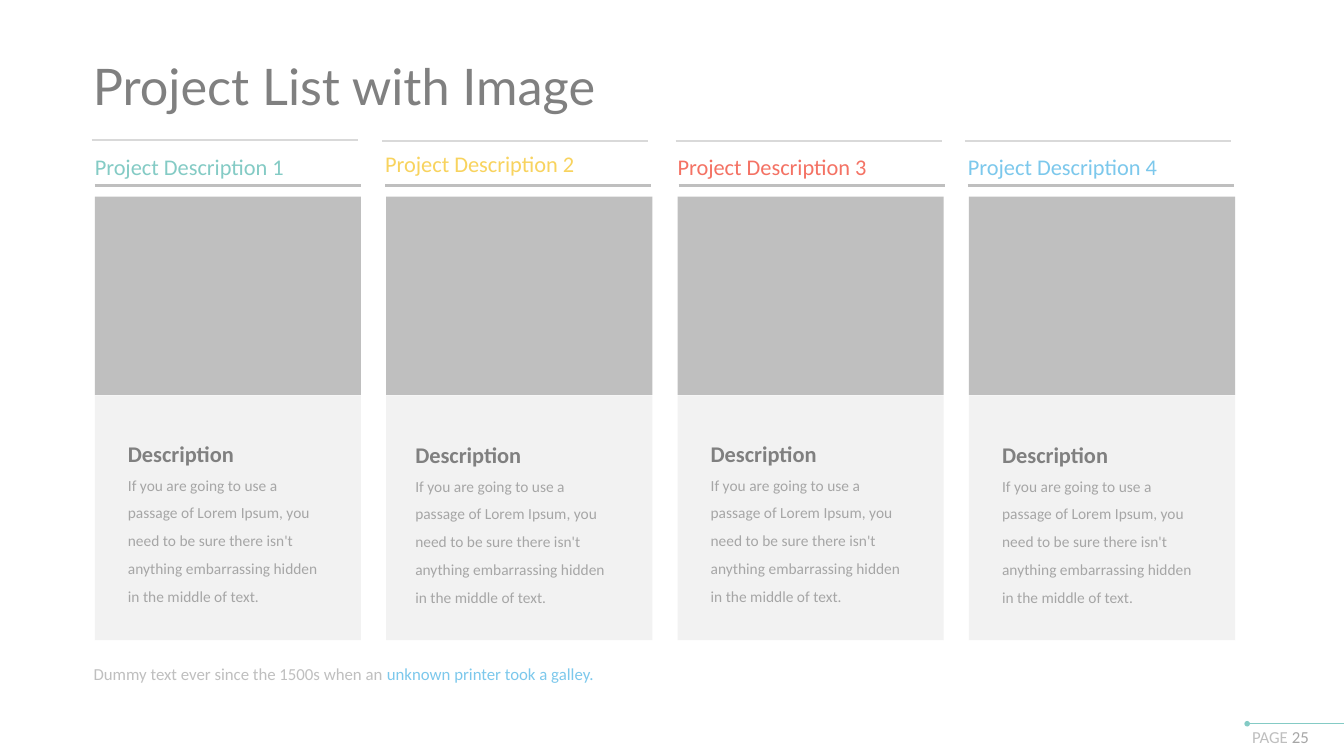
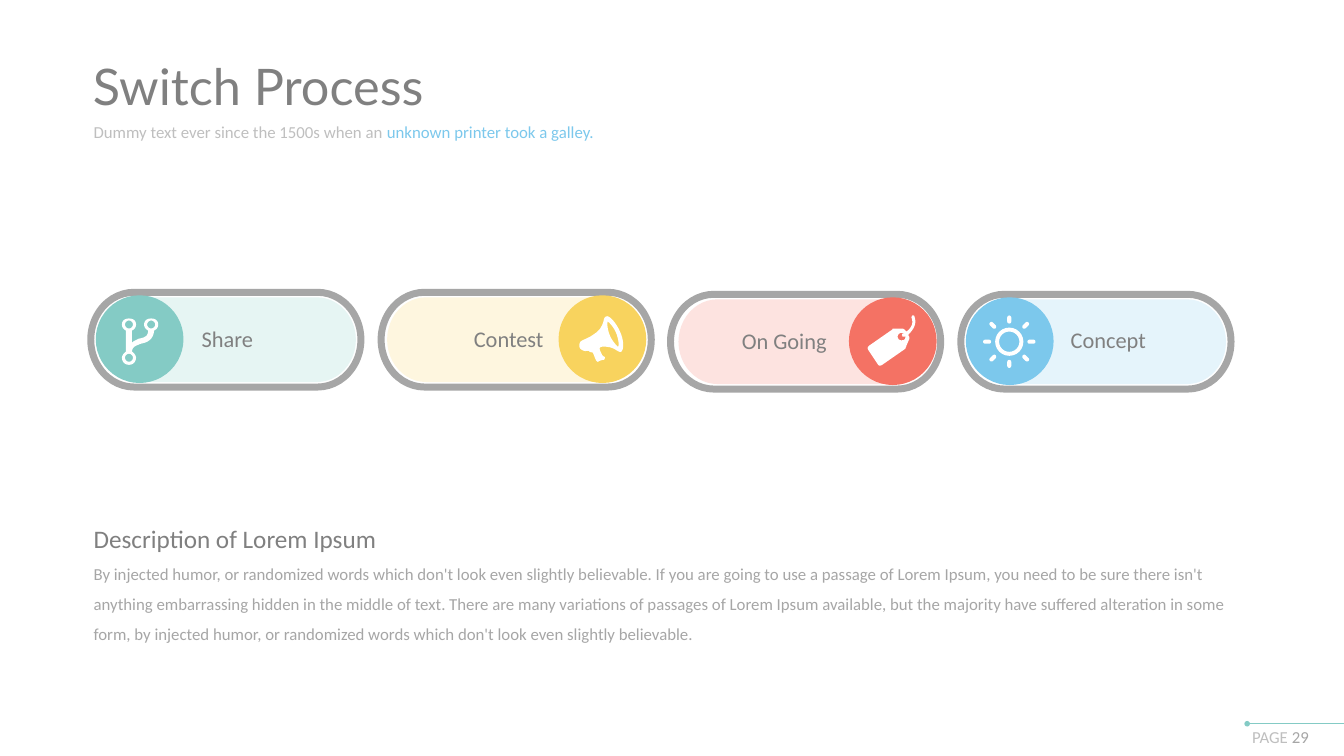
import math

import pptx
import pptx.dml.color
import pptx.enum.shapes
import pptx.enum.text
import pptx.oxml
import pptx.oxml.ns
import pptx.shapes.connector
import pptx.util

PX = 9144  # EMU in one px, 100 px to the inch
TEAL, YELLOW, RED, BLUE = "84CBC5", "F8D35E", "F47264", "7CC8EC"
DARK, MID, SILVER, PALE, WHITE = "808080", "A6A6A6", "BFBFBF", "F2F2F2", "FFFFFF"
RULE = "D9D9D9"
SHAPE = pptx.enum.shapes.MSO_SHAPE
STRAIGHT = pptx.enum.shapes.MSO_CONNECTOR.STRAIGHT
ALIGN = pptx.enum.text.PP_ALIGN
ANCHOR = pptx.enum.text.MSO_ANCHOR
AUTO_SIZE = pptx.enum.text.MSO_AUTO_SIZE
rgb = pptx.dml.color.RGBColor.from_string


def paint(shape, fill=None, line=None, width=1):
    """Set fill and line of a shape or connector, without shadow."""
    if line:
        shape.line.color.rgb = rgb(line)
        shape.line.width = pptx.util.Pt(width)
    else:
        shape.line.fill.background()
    if isinstance(shape, pptx.shapes.connector.Connector):
        shape.element.spPr.append(pptx.oxml.parse_xml(
            f"<a:effectLst {pptx.oxml.ns.nsdecls('a')}/>"))
        return
    shape.shadow.inherit = False
    if fill:
        shape.fill.solid()
        shape.fill.fore_color.rgb = rgb(fill)
    else:
        shape.fill.background()


def write(shape, paragraphs, spacing=1.0, align=ALIGN.LEFT,
          anchor=ANCHOR.TOP, insets=(10, 5, 10, 5)):
    """Fill a shape with text; each paragraph is a list of (text, size, colour, bold)."""
    tf = shape.text_frame
    tf.word_wrap = True
    tf.vertical_anchor = anchor
    tf.margin_left, tf.margin_top, tf.margin_right, tf.margin_bottom = (
        v * PX for v in insets)
    for i, runs in enumerate(paragraphs):
        p = tf.add_paragraph() if i else tf.paragraphs[0]
        p.alignment = align
        p.line_spacing = spacing
        for text, size, colour, bold in runs:
            r = p.add_run()
            r.text = text
            r.font.name = "Calibri"
            r.font.size = pptx.util.Pt(size)
            r.font.bold = bold
            r.font.color.rgb = rgb(colour)


prs = pptx.Presentation()
prs.slide_width, prs.slide_height = 1333 * PX, 750 * PX

# Shared layout: title position and footer line
layout = prs.slide_layouts[5]
title = layout.placeholders[0]
title.left, title.top, title.width, title.height = (v * PX for v in (82, 50, 695, 66))
title.text_frame.vertical_anchor = ANCHOR.TOP
title.text_frame.auto_size = AUTO_SIZE.NONE

pages = [("Project List with Image", "25", 654), ("Switch Process", "29", 116)]
slides = []
for heading, number, caption_top in pages:
    s = prs.slides.add_slide(layout)
    slides.append(s)
    p = s.shapes.title.text_frame.paragraphs[0]
    p.alignment = ALIGN.LEFT
    r = p.add_run()
    r.text = heading
    r.font.name = "Lato"
    r.font.size = pptx.util.Pt(36)
    r.font.color.rgb = rgb(DARK)
    write(s.shapes.add_textbox(1232 * PX, 716 * PX, 101 * PX, 30 * PX),
          [[("PAGE ", 12, SILVER, False), (number, 12, MID, False)]])
    write(s.shapes.add_textbox(83 * PX, caption_top * PX, 582 * PX, 48 * PX),
          [[("Dummy text ever since the 1500s when an ", 12, SILVER, False),
            ("unknown printer took a galley.", 12, BLUE, False)]])

footer = slides[0].shapes.add_connector(
    STRAIGHT, 1237 * PX, 718 * PX, 1335 * PX, 718 * PX)
paint(footer, line=TEAL)
footer.element.spPr.find(pptx.oxml.ns.qn("a:ln")).append(pptx.oxml.parse_xml(
    f'<a:headEnd {pptx.oxml.ns.nsdecls("a")} type="oval" w="sm" len="sm"/>'))
layout.shapes.element.append(footer.element)

# Project list
s = slides[0]
blurb = ("If you are going to use a passage of Lorem Ipsum, you need to be sure there "
         "isn't anything embarrassing hidden in the middle of text.")
# colour, rule left and top, heading left and top, text left and top
projects = [
    (TEAL, 91, 139, 94, 144, 117, 418),
    (YELLOW, 379, 140, 382, 141, 402, 419),
    (RED, 670, 140, 672, 144, 695, 418),
    (BLUE, 957, 140, 960, 144, 984, 419),
]
for i, (colour, rule_x, rule_y, head_x, head_y, text_x, text_y) in enumerate(projects):
    x = 94 + 289 * i
    for top, height, fill in ((195, 197, SILVER), (393, 242, PALE)):
        paint(s.shapes.add_shape(SHAPE.RECTANGLE, x * PX, top * PX,
                                 264 * PX, height * PX), fill)
    for left, y, rule_colour, width in ((rule_x, rule_y, RULE, 1),
                                        (rule_x + 3, 184, SILVER, 1.75)):
        paint(s.shapes.add_connector(STRAIGHT, left * PX, y * PX,
                                     (left + 264) * PX, y * PX),
              line=rule_colour, width=width)
    write(s.shapes.add_textbox(head_x * PX, head_y * PX, 261 * PX, 29 * PX),
          [[(f"Project Description {i + 1}", 16, colour, False)]],
          spacing=1.5, anchor=ANCHOR.MIDDLE, insets=(0, 0, 0, 0))
    write(s.shapes.add_textbox(text_x * PX, text_y * PX, 218 * PX, 189 * PX),
          [[("Description", 16, DARK, True)], [(blurb, 11, MID, False)]],
          spacing=1.5)

# Switches: label, colour, tint, frame left and top, then offsets from the frame
# to the tinted pill, the knob and the label (across and down), and the alignment
s = slides[1]
switches = [
    ("Share", TEAL, "E6F5F3", 90, 290, 23, 5, 105, 27, ALIGN.LEFT),
    ("Contest", YELLOW, "FEF6DF", 378, 290, 6, 176, 54, 27, ALIGN.RIGHT),
    ("On Going", RED, "FDE3E0", 665, 292, 8, 177, 48, 27, ALIGN.RIGHT),
    ("Concept", BLUE, "E5F4FB", 953, 292, 23, 5, 104, 26, ALIGN.LEFT),
]
for label, colour, tint, x, y, pill_dx, knob_dx, label_dx, label_dy, align in switches:
    switch = s.shapes.add_group_shape()
    for kind, left, top, width, height, fill, line in (
            (SHAPE.FLOWCHART_TERMINATOR, x + pill_dx, y + 5, 240, 84, tint, None),
            (SHAPE.FLOWCHART_TERMINATOR, x, y, 268, 94, None, MID),
            (SHAPE.OVAL, x + knob_dx, y + 3, 87, 87, colour, None)):
        paint(switch.shapes.add_shape(kind, left * PX, top * PX,
                                      width * PX, height * PX), fill, line, 5)
    left, top = (x + label_dx) * PX, (y + label_dy) * PX
    right, bottom = left + 107 * PX, top + 42 * PX
    builder = s.shapes.build_freeform(left, top)
    builder.add_line_segments([(right, top), (right, bottom), (left, bottom)])
    plate = builder.convert_to_shape()
    paint(plate)
    write(plate, [[(label, 16, DARK, False)]], spacing=0.9, align=align,
          anchor=ANCHOR.MIDDLE, insets=(5, 0, 0, 0))

# Sun icon: a ring and eight rays
sun = s.shapes.add_group_shape()
ring = sun.shapes.add_shape(SHAPE.DONUT, 987 * PX, 325 * PX, 28 * PX, 28 * PX)
ring.adjustments[0] = 0.14
paint(ring, WHITE)
for angle in range(0, 360, 45):
    reach = 23 if angle % 90 else 22
    ray_x = 1001 + reach * math.sin(math.radians(angle))
    ray_y = 339 - reach * math.cos(math.radians(angle))
    ray = sun.shapes.add_shape(SHAPE.ROUNDED_RECTANGLE, round((ray_x - 2) * PX),
                               round((ray_y - 4) * PX), 4 * PX, 8 * PX)
    ray.adjustments[0] = 0.5
    ray.rotation = angle
    paint(ray, WHITE)

# Outlines: a start point, then line ends (x, y) or cubic curves (six numbers)
branch = [[
    (157, 322), (157, 318, 154, 316, 150, 316), (146, 316, 143, 318, 143, 322),
    (143, 325, 145, 327, 147, 328), (147, 334, 143, 335, 138, 336),
    (136, 337, 133, 338, 131, 340), (131, 328), (133, 327, 135, 325, 135, 322),
    (135, 318, 132, 316, 128, 316), (124, 316, 121, 318, 121, 322),
    (121, 325, 123, 327, 125, 328), (125, 349), (123, 350, 121, 353, 121, 355),
    (121, 359, 124, 362, 128, 362), (132, 362, 135, 359, 135, 355),
    (135, 353, 133, 350, 131, 349), (131, 344, 135, 343, 140, 341),
    (145, 340, 152, 338, 153, 328), (155, 327, 157, 325, 157, 322),
]] + [[
    (cx - 4, cy), (cx - 4, cy - 2, cx - 2, cy - 4, cx, cy - 4),
    (cx + 2, cy - 4, cx + 4, cy - 2, cx + 4, cy),
    (cx + 4, cy + 2, cx + 2, cy + 4, cx, cy + 4),
    (cx - 2, cy + 4, cx - 4, cy + 2, cx - 4, cy),
] for cx, cy in ((128, 322), (128, 355), (150, 322))]
megaphone = [[
    (615, 329), (611, 320, 604, 312, 601, 314), (596, 316, 604, 327, 577, 338),
    (575, 339, 574, 342, 575, 345), (576, 347, 580, 349, 582, 348), (584, 348),
    (585, 350, 587, 349, 588, 350), (589, 352, 590, 355, 591, 357),
    (591, 358, 593, 359, 593, 359), (594, 358, 597, 357, 599, 357),
    (600, 356, 600, 355, 600, 354), (599, 354, 598, 353, 597, 352),
    (597, 351, 595, 348, 595, 347), (594, 345, 596, 344, 597, 344),
    (610, 343, 612, 350, 616, 349), (619, 347, 619, 338, 615, 329),
], [
    (613, 344), (613, 344, 608, 340, 605, 333), (602, 326, 602, 319, 603, 319),
    (603, 319, 608, 323, 611, 330), (614, 338, 614, 343, 613, 344),
]]
tag = [[
    (907, 314), (907, 313, 906, 313, 905, 313), (905, 313, 904, 314, 904, 315),
    (907, 322, 902, 327, 899, 329), (897, 327), (897, 327, 896, 326, 895, 326),
    (887, 326), (886, 326, 885, 326, 885, 327), (862, 343),
    (861, 344, 860, 345, 861, 347), (871, 362), (872, 363, 873, 363, 875, 362),
    (898, 346), (898, 345, 899, 344, 899, 343), (902, 336),
    (902, 335, 902, 334, 901, 333), (901, 332), (905, 328, 910, 322, 907, 314),
], [
    (897, 337), (895, 338, 892, 338, 891, 336), (890, 335, 890, 332, 892, 331),
    (893, 330, 895, 330, 897, 331), (895, 331), (895, 332, 894, 333, 895, 333),
    (895, 334, 895, 334, 896, 334), (897, 334), (897, 334, 898, 334, 898, 333),
    (898, 335, 898, 336, 897, 337),
]]
STEPS = 8
for outline in (branch, megaphone, tag):
    builder = None
    for start, *segments in outline:
        points, (x0, y0) = [], start
        for segment in segments:
            if len(segment) == 2:
                points.append(segment)
            else:
                x1, y1, x2, y2, x3, y3 = segment
                for step in range(1, STEPS + 1):
                    t = step / STEPS
                    a, b, c, d = (1 - t)**3, 3 * t * (1 - t)**2, 3 * t * t * (1 - t), t**3
                    points.append((a * x0 + b * x1 + c * x2 + d * x3,
                                   a * y0 + b * y1 + c * y2 + d * y3))
            x0, y0 = segment[-2:]
        if builder is None:
            builder = s.shapes.build_freeform(start[0] * PX, start[1] * PX)
        else:
            builder.move_to(start[0] * PX, start[1] * PX)
        builder.add_line_segments([(px * PX, py * PX) for px, py in points], close=True)
    paint(builder.convert_to_shape(), WHITE)

write(s.shapes.add_textbox(83 * PX, 499 * PX, 1150 * PX, 145 * PX), [
    [("Description of Lorem Ipsum", 18, DARK, False)],
    [("By injected humor, or randomized words which don't look even slightly believable. "
      "If you are going to use a passage of Lorem Ipsum, you need to be sure there isn't "
      "anything embarrassing hidden in the middle of text. There are many variations of "
      "passages of Lorem Ipsum available, but the majority have suffered alteration in some "
      "form, by injected humor, or randomized words which don't look even slightly "
      "believable.", 12, MID, False)],
], spacing=1.5, insets=(10, 5, 16, 4))

prs.save("out.pptx")
